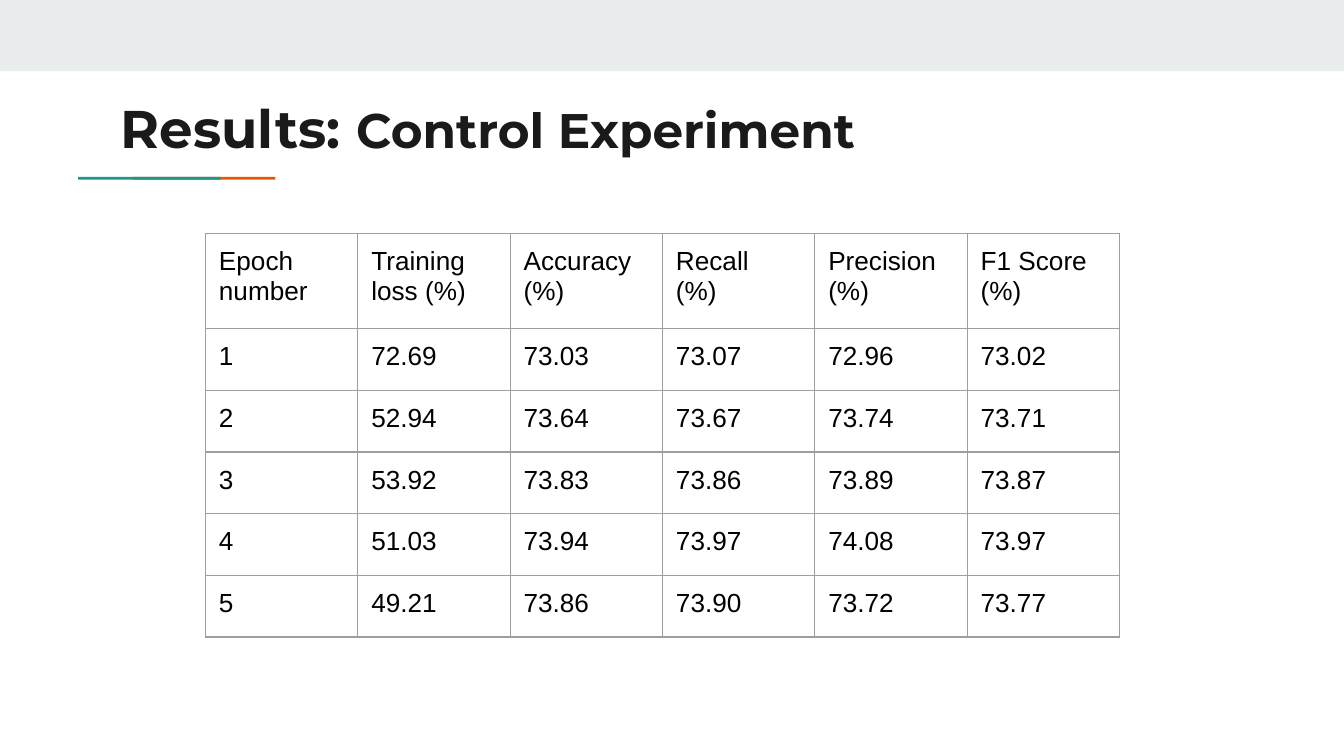
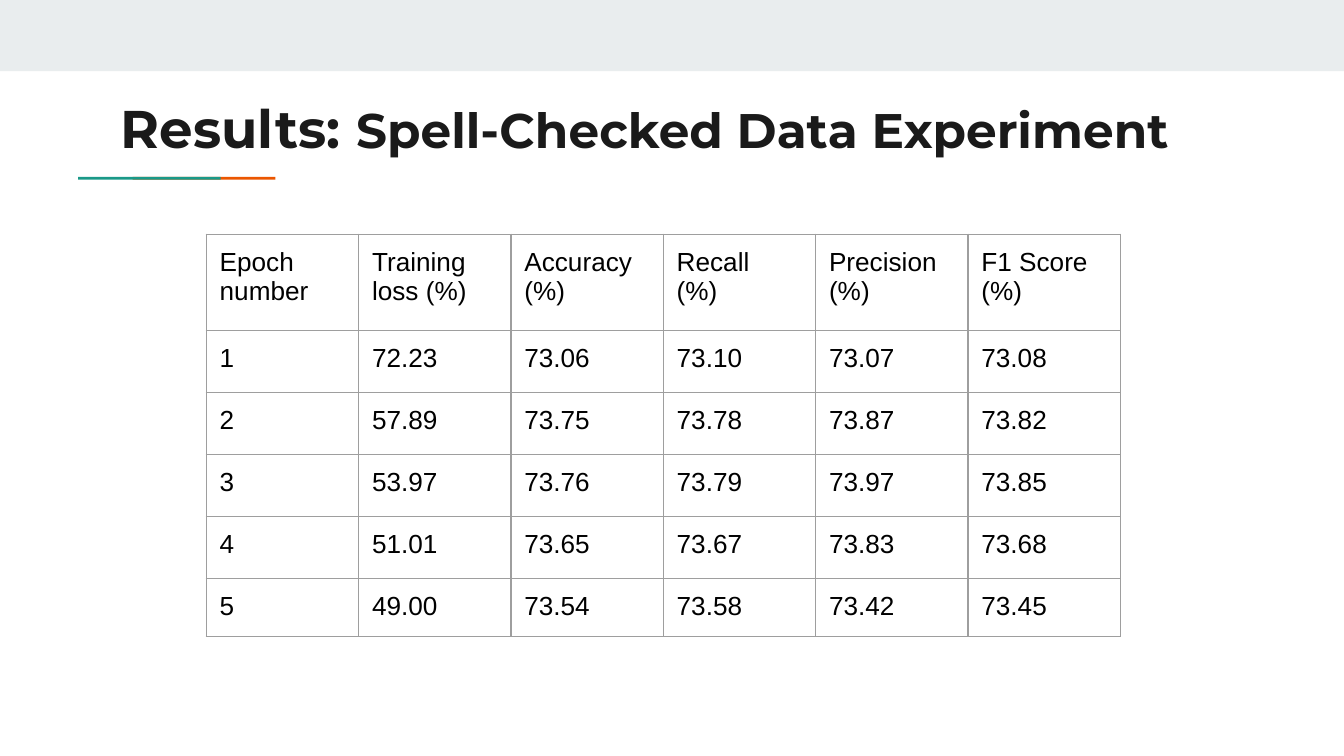
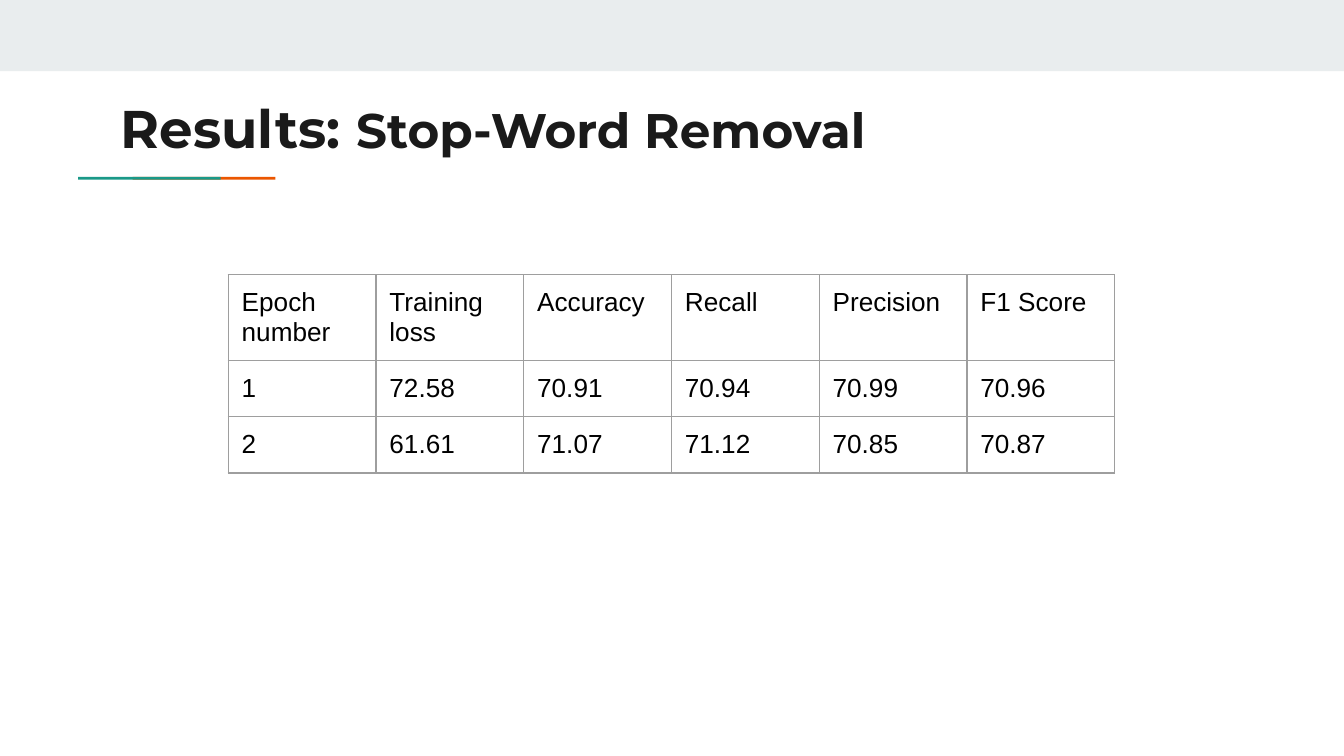
"""Build three slides of experiment results, each a titled table of scores."""
from lxml import etree
from pptx import Presentation
from pptx.dml.color import RGBColor
from pptx.enum import shapes, text
from pptx.oxml import ns
from pptx.util import Pt

BAND = RGBColor(0xE9, 0xED, 0xEE)
TEAL = RGBColor(0x1A, 0x99, 0x88)
ORANGE = RGBColor(0xEB, 0x56, 0x00)
INK = RGBColor(0x1A, 0x1A, 0x1A)
BLACK = RGBColor(0, 0, 0)
GRID = RGBColor(0x9E, 0x9E, 0x9E)

SLIDE_WIDTH, SLIDE_HEIGHT = 720, 405
INSET = 7.2
MARGINS = {f"margin_{side}": Pt(INSET) for side in ("left", "top", "right", "bottom")}
TITLE_FONT = {"name": "Montserrat", "bold": True}
CELL_FONT = {"name": "Arial", "size": Pt(14), "bold": False}

PERCENT_HEADINGS = ["Epoch number", "Training loss (%)", "Accuracy (%)",
                    "Recall\n(%)", "Precision\n(%)", "F1 Score\n(%)"]
PLAIN_HEADINGS = ["Epoch number", "Training loss", "Accuracy",
                  "Recall", "Precision", "F1 Score"]

EXPERIMENTS = [
    {
        "name": "Control Experiment",
        "headings": PERCENT_HEADINGS,
        "corner": (110.1, 125.1),
        "column_width": 81.62,
        "row_heights": [51] + [33.05] * 5,
        "scores": [
            ["72.69", "73.03", "73.07", "72.96", "73.02"],
            ["52.94", "73.64", "73.67", "73.74", "73.71"],
            ["53.92", "73.83", "73.86", "73.89", "73.87"],
            ["51.03", "73.94", "73.97", "74.08", "73.97"],
            ["49.21", "73.86", "73.90", "73.72", "73.77"],
        ],
    },
    {
        "name": "Spell-Checked Data Experiment",
        "headings": PERCENT_HEADINGS,
        "corner": (110.5, 125.5),
        "column_width": 81.62,
        "row_heights": [51.5] + [33.25] * 4 + [31.3],
        "scores": [
            ["72.23", "73.06", "73.10", "73.07", "73.08"],
            ["57.89", "73.75", "73.78", "73.87", "73.82"],
            ["53.97", "73.76", "73.79", "73.97", "73.85"],
            ["51.01", "73.65", "73.67", "73.83", "73.68"],
            ["49.00", "73.54", "73.58", "73.42", "73.45"],
        ],
    },
    {
        "name": "Stop-Word Removal",
        "headings": PLAIN_HEADINGS,
        "corner": (122.3, 147.2),
        "column_width": 79.15,
        "row_heights": [30] * 3,
        "scores": [
            ["72.58", "70.91", "70.94", "70.99", "70.96"],
            ["61.61", "71.07", "71.12", "70.85", "70.87"],
        ],
    },
]


def apply_format(target, values):
    """Set each named attribute of the target."""
    for attribute, value in values.items():
        setattr(target, attribute, value)


def add_bar(slide, left, top, width, height, color):
    """Draw a plain filled rectangle."""
    bar = slide.shapes.add_shape(
        shapes.MSO_SHAPE.RECTANGLE, Pt(left), Pt(top), Pt(width), Pt(height))
    bar.shadow.inherit = False
    bar.fill.solid()
    bar.fill.fore_color.rgb = color
    bar.line.fill.background()


def add_frame(slide):
    """Draw the top band and the two-colour rule under the title."""
    add_bar(slide, 0, 0, SLIDE_WIDTH, 38.2, BAND)
    for left, color in ((71.1, ORANGE), (41.8, TEAL)):
        add_bar(slide, left, 94.7, 76.4, 1.5, color)


def add_title(slide, experiment_name):
    """Write the title with a larger lead-in and the experiment name."""
    frame = slide.shapes.add_textbox(Pt(57.6), Pt(44), Pt(605.5), Pt(42.5)).text_frame
    apply_format(frame, {"word_wrap": True, "auto_size": text.MSO_AUTO_SIZE.NONE,
                         "vertical_anchor": text.MSO_ANCHOR.TOP, **MARGINS})
    for words, size in (("Results: ", 28.4), (experiment_name, 26)):
        run = frame.paragraphs[0].add_run()
        run.text = words
        apply_format(run.font, {"size": Pt(size), **TITLE_FONT})
        run.font.color.rgb = INK


def add_borders(cell):
    """Give all four sides of a cell a thin grey line."""
    properties = cell._tc.get_or_add_tcPr()
    for side in ("lnL", "lnR", "lnT", "lnB"):
        line = etree.SubElement(properties, ns.qn(f"a:{side}"), w=str(Pt(0.75)))
        fill = etree.SubElement(line, ns.qn("a:solidFill"))
        etree.SubElement(fill, ns.qn("a:srgbClr"), val=str(GRID))


def fill_cell(cell, words):
    """Write and style one table cell."""
    cell.text = words
    apply_format(cell, {"vertical_anchor": text.MSO_ANCHOR.TOP, **MARGINS})
    for paragraph in cell.text_frame.paragraphs:
        for run in paragraph.runs:
            apply_format(run.font, CELL_FONT)
            run.font.color.rgb = BLACK
    add_borders(cell)
    cell.fill.background()


def add_scores(slide, experiment):
    """Draw the table of scores, one numbered row for each epoch."""
    headings, heights = experiment["headings"], experiment["row_heights"]
    left, top = experiment["corner"]
    column_width = experiment["column_width"]
    table = slide.shapes.add_table(
        len(heights), len(headings), Pt(left), Pt(top),
        Pt(column_width * len(headings)), Pt(sum(heights))).table
    apply_format(table, {"first_row": False, "horz_banding": False})
    for column in table.columns:
        column.width = Pt(column_width)
    epochs = [[str(number), *scores]
              for number, scores in enumerate(experiment["scores"], 1)]
    for row, height, entries in zip(table.rows, heights, [headings, *epochs]):
        row.height = Pt(height)
        for cell, words in zip(row.cells, entries):
            fill_cell(cell, words)


def main():
    """Build and save the presentation."""
    deck = Presentation()
    apply_format(deck, {"slide_width": Pt(SLIDE_WIDTH), "slide_height": Pt(SLIDE_HEIGHT)})
    for experiment in EXPERIMENTS:
        slide = deck.slides.add_slide(deck.slide_layouts[6])
        add_frame(slide)
        add_title(slide, experiment["name"])
        add_scores(slide, experiment)
    deck.save("out.pptx")


main()
